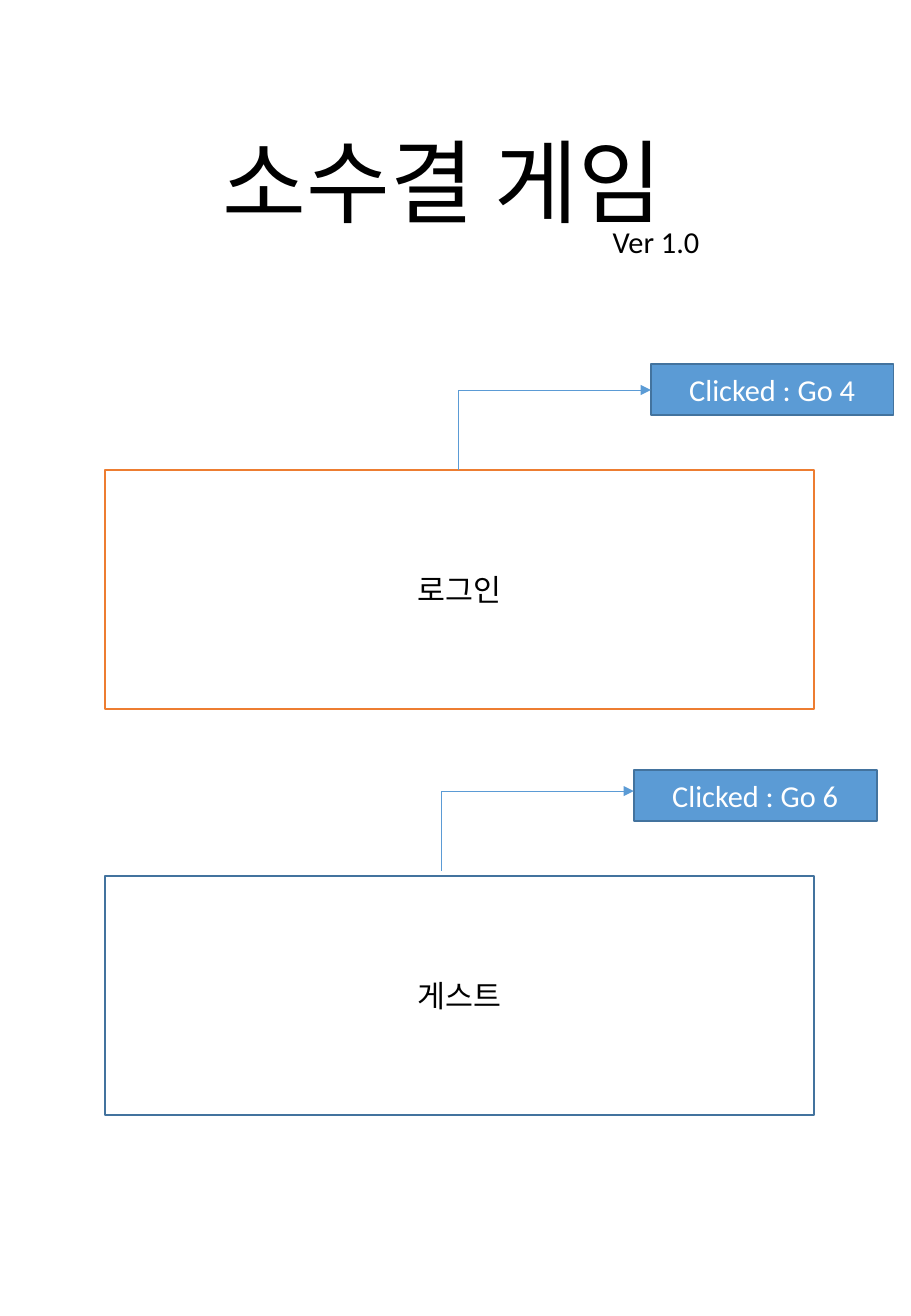
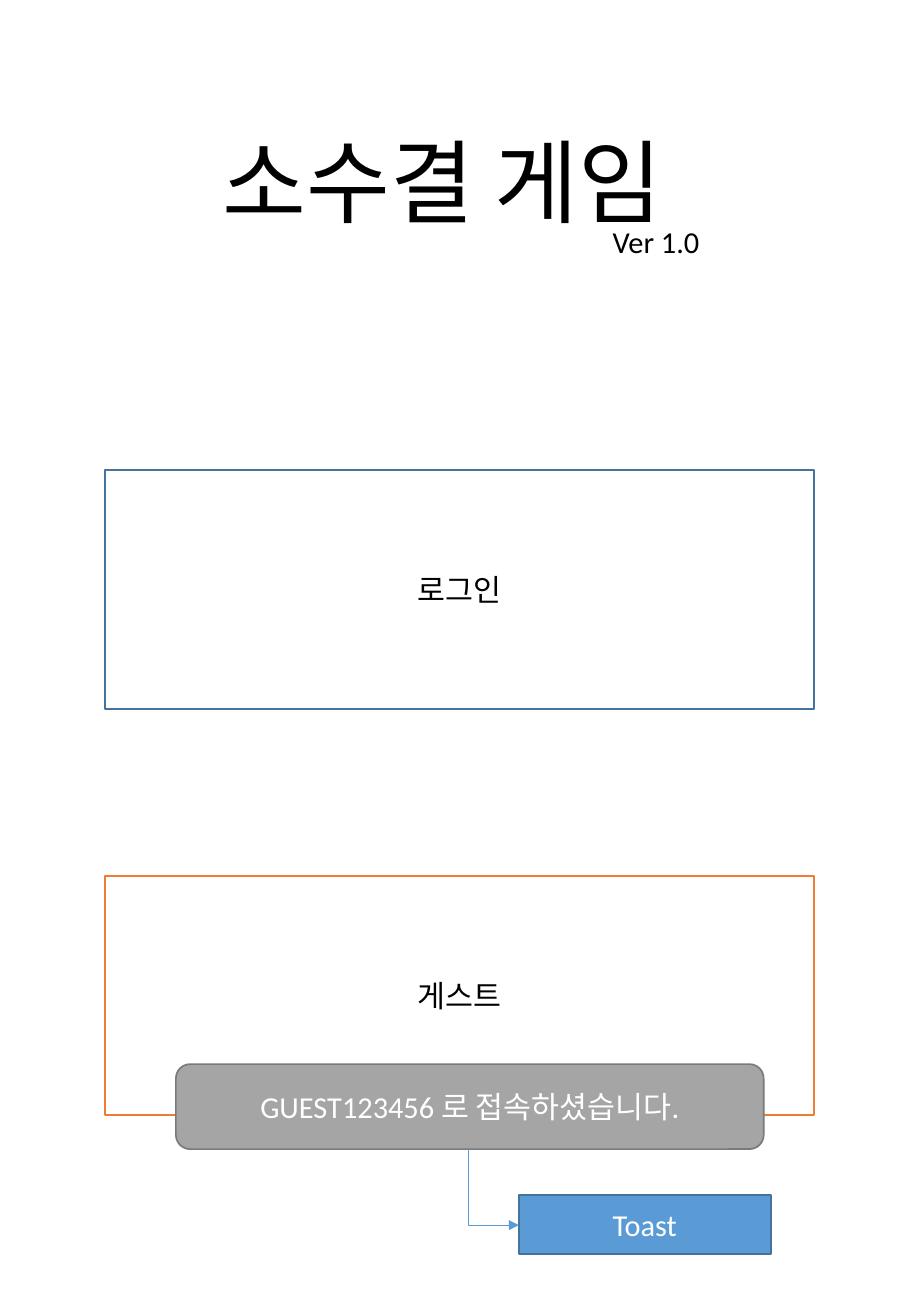
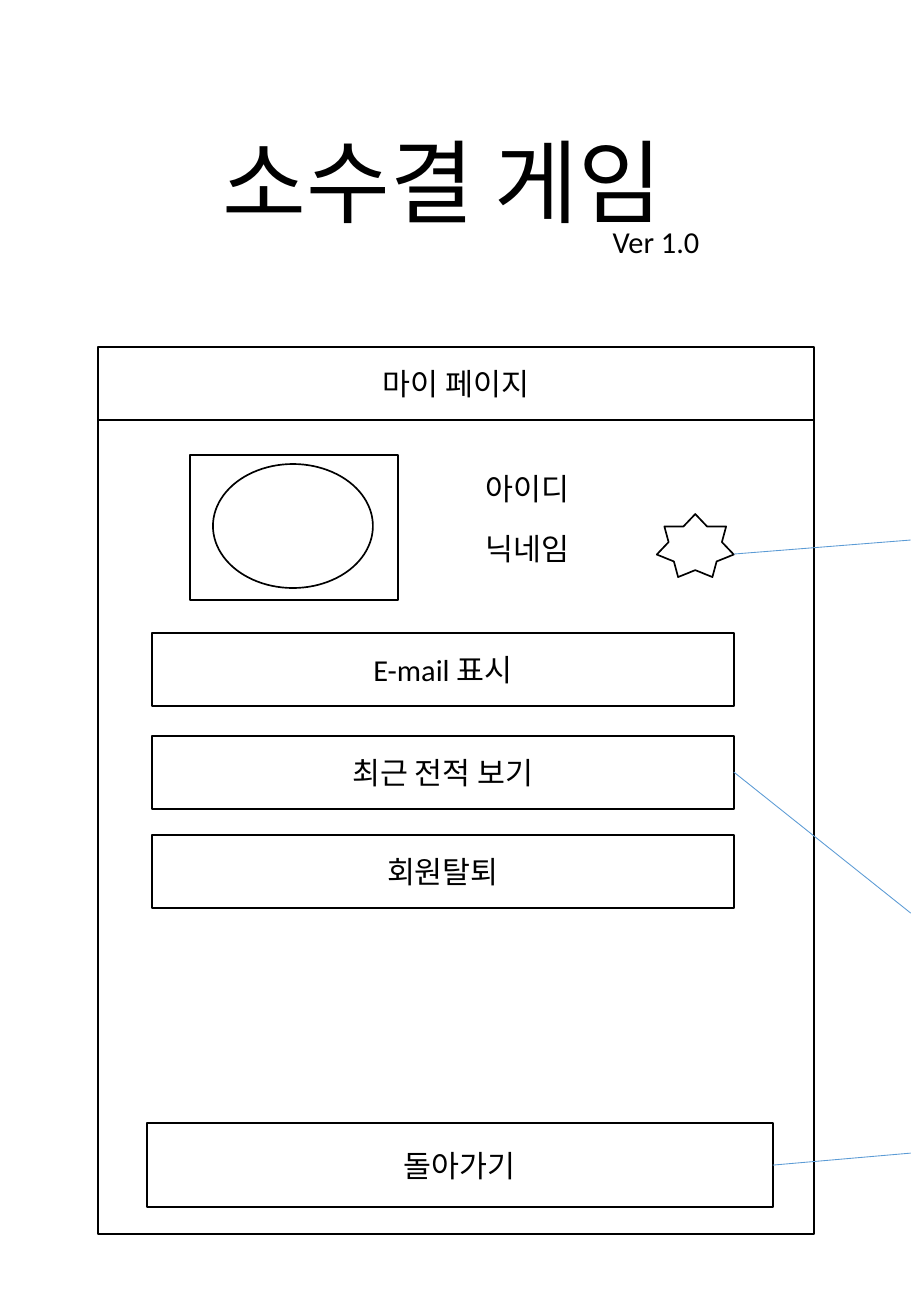
from pptx import Presentation, util as u
from pptx.dml.color import RGBColor
from pptx.enum import shapes, text
from pptx.oxml.ns import qn
from lxml import etree

BLACK = RGBColor(0x00, 0x00, 0x00)
WHITE = RGBColor(0xFF, 0xFF, 0xFF)
BLUE = RGBColor(0x5B, 0x9B, 0xD5)
DARK_BLUE = RGBColor(0x43, 0x73, 0x9E)
ORANGE = RGBColor(0xED, 0x7D, 0x31)
GRAY = RGBColor(0xA5, 0xA5, 0xA5)
DARK_GRAY = RGBColor(0x7A, 0x7A, 0x7A)
FONT = "Calibri"
PX = u.Inches(1) / 121.5
RECT = shapes.MSO_SHAPE.RECTANGLE


def add_box(slide, place, label="", kind=RECT, fill=WHITE, line=BLACK, color=BLACK):
    """Add an outlined shape, or left-aligned plain text when kind is None."""
    place = [round(n * PX) for n in place]
    if kind is None:
        box = slide.shapes.add_textbox(*place)
    else:
        box = slide.shapes.add_shape(kind, *place)
        box.shadow.inherit = False
        box.fill.solid()
        box.fill.fore_color.rgb = fill
        box.line.color.rgb = line
        box.line.width = u.Pt(1)
        box.text_frame.vertical_anchor = text.MSO_ANCHOR.MIDDLE
    box.text_frame.word_wrap = True
    if label:
        paragraph = box.text_frame.paragraphs[0]
        paragraph.alignment = text.PP_ALIGN.LEFT if kind is None else text.PP_ALIGN.CENTER
        run = paragraph.add_run()
        run.text = label
        run.font.size, run.font.name = u.Pt(18), FONT
        run.font.color.rgb = color


def add_link(slide, note, source, bent=False):
    """Link a note to its source; a bent link points at the note."""
    link = slide.shapes.add_connector(
        shapes.MSO_CONNECTOR.ELBOW if bent else shapes.MSO_CONNECTOR.STRAIGHT,
        *[round(n * PX) for n in (*note, *source)])
    link.line.color.rgb = BLUE
    link.line.width = u.Pt(0.5)
    properties = link._element.spPr
    if bent:
        properties.find(qn("a:prstGeom")).set("prst", "bentConnector2")
        etree.SubElement(properties.find(qn("a:ln")), qn("a:headEnd"), type="triangle")
    etree.SubElement(properties, qn("a:effectLst"))


prs = Presentation()
prs.slide_width, prs.slide_height = u.Inches(7.5), u.Inches(10.83)

# Shared title and version
pages = []
for _ in range(3):
    page = prs.slides.add_slide(prs.slide_layouts[5])
    title = page.shapes.title
    title.left, title.top, title.width, title.height = [
        round(n * PX) for n in (190, 119, 505, 123)]
    title.text_frame.word_wrap = False
    title.text_frame.auto_size = text.MSO_AUTO_SIZE.NONE
    title.text_frame.vertical_anchor = text.MSO_ANCHOR.TOP
    heading = title.text_frame.paragraphs[0]
    heading.alignment = text.PP_ALIGN.CENTER
    run = heading.add_run()
    run.text = "소수결 게임"
    run.font.size, run.font.name = u.Pt(54), FONT
    run.font.color.rgb = BLACK
    add_box(page, (601, 217, 214, 49), "Ver 1.0", kind=None)
    pages.append(page)
login_page, guest_page, my_page = pages

# Entry buttons, the chosen one in orange
for page, outlines in ((login_page, (ORANGE, DARK_BLUE)), (guest_page, (DARK_BLUE, ORANGE))):
    for row, (label, outline) in enumerate(zip(("로그인", "게스트"), outlines)):
        add_box(page, (105, 470 + 406 * row, 709, 239), label, line=outline)

# Click notes
for label, left, top, tip, start in (
        ("Clicked : Go 4", 651, 364, 390, 470),
        ("Clicked : Go 6", 634, 770, 791, 871)):
    add_box(login_page, (left, top, 243, 51), label, fill=BLUE, line=DARK_BLUE, color=WHITE)
    add_link(login_page, (left, tip), (left - 192, start), bent=True)

# Guest toast
add_box(guest_page, (176, 1064, 588, 85), "GUEST123456 로 접속하셨습니다.",
        kind=shapes.MSO_SHAPE.ROUNDED_RECTANGLE, fill=GRAY, line=DARK_GRAY, color=WHITE)
add_box(guest_page, (519, 1195, 252, 59), "Toast", fill=BLUE, line=DARK_BLUE, color=WHITE)
add_link(guest_page, (519, 1225), (469, 1149), bent=True)

# My page: panel, header and buttons
for place, label in (
        ((98, 420, 716, 814), ""),
        ((98, 347, 716, 73), "마이 페이지"),
        ((147, 1123, 626, 84), "돌아가기"),
        ((152, 835, 582, 73), "회원탈퇴"),
        ((152, 736, 582, 73), "최근 전적 보기"),
        ((152, 633, 582, 73), "E-mail 표시")):
    add_box(my_page, place, label)

# Profile
add_box(my_page, (190, 455, 208, 145))
add_box(my_page, (213, 464, 160, 124), kind=shapes.MSO_SHAPE.OVAL)
for row, label in enumerate(("아이디", "닉네임")):
    add_box(my_page, (474, 464 + 60 * row, 237, 49), label, kind=None)
add_box(my_page, (657, 514, 77, 63), kind=shapes.MSO_SHAPE.STAR_7_POINT)

# Links running to the page edge
for edge_y, source in ((540, (734, 554)), (1153, (773, 1165)), (913, (734, 772))):
    add_link(my_page, (911, edge_y), source)

prs.save("out.pptx")
